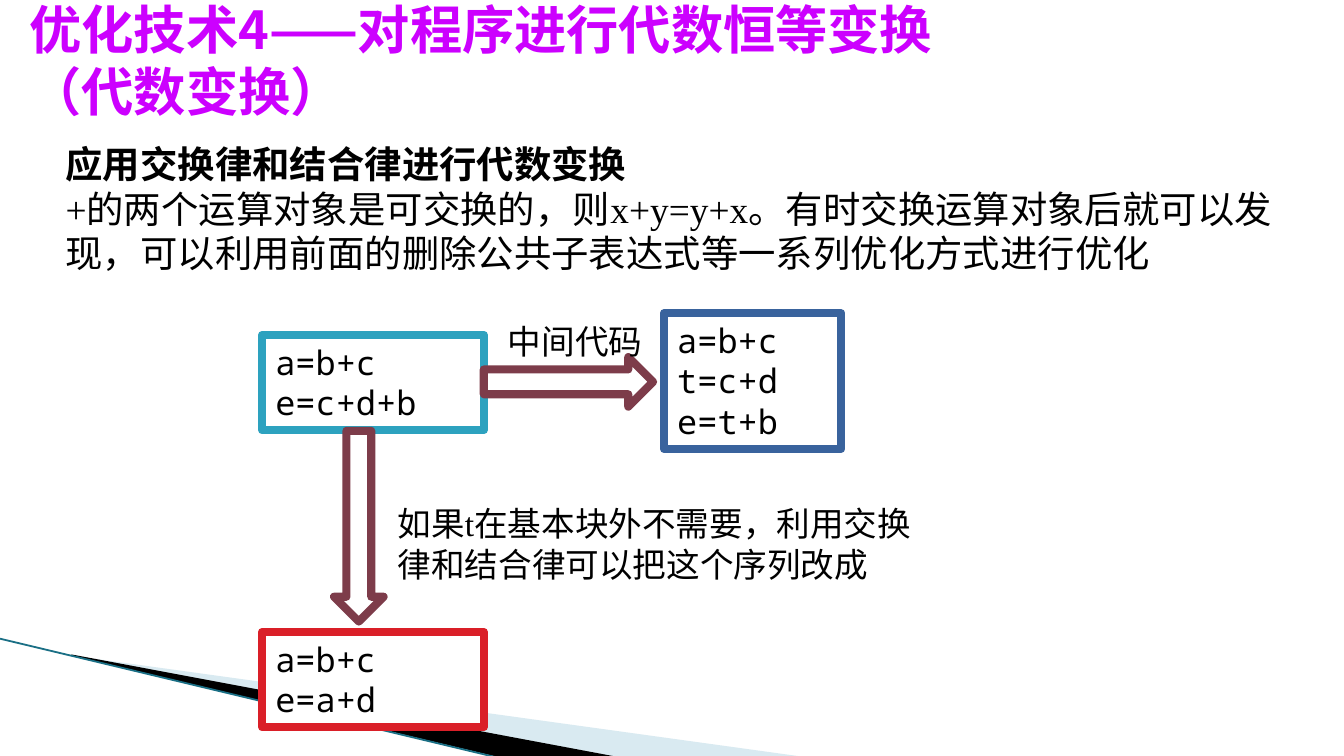
from lxml import etree
from pptx import Presentation
from pptx.dml.color import RGBColor
from pptx.enum.shapes import MSO_CONNECTOR, MSO_SHAPE
from pptx.enum.text import MSO_ANCHOR, MSO_AUTO_SIZE, PP_ALIGN
from pptx.oxml.ns import qn
from pptx.util import Pt

RECTANGLE, RIGHT_ARROW = MSO_SHAPE.RECTANGLE, MSO_SHAPE.RIGHT_ARROW
STRAIGHT = MSO_CONNECTOR.STRAIGHT
TOP, MIDDLE = MSO_ANCHOR.TOP, MSO_ANCHOR.MIDDLE
NO_AUTOFIT = MSO_AUTO_SIZE.NONE
LEFT = PP_ALIGN.LEFT

THEME = {
    "colours": {
        "title": "CC00FF", "text": "000000", "paper": "FFFFFF",
        "source": "2DA2BF", "shared": "39639D", "result": "DA1F28",
        "arrow": "7D3C4A", "pale": "A0CBDC", "edge": "1A6F85",
    },
    "sizes": {"title": 28, "body": 20, "label": 18},
    "fonts": {"title": "Noto Sans CJK SC", "body": "Times New Roman",
              "code": "Noto Sans Mono"},
    "line_spacing": 1.2,
    "outline": 4.33,
}

TITLE = "优化技术4——对程序进行代数恒等变换（代数变换）"
HEADING = "应用交换律和结合律进行代数变换"
EXPLANATION = ("+的两个运算对象是可交换的，则x+y=y+x。有时交换运算对象后就可以发现，"
               "可以利用前面的删除公共子表达式等一系列优化方式进行优化")
CONDITION = "如果t在基本块外不需要，利用交换律和结合律可以把这个序列改成"
ARROW_LABEL = "中间代码"

# Boxes are (left, top, width, height) in points.
TITLE_BOX = (8.64, 4.32, 527, 55.4)
BODY_BOX = (28, 72, 675.4, 80)
CONDITION_BOX = (206, 265.7, 296, 51)
LABEL_BOX = (265, 168.5, 87, 29)
CODE_BLOCKS = [
    ("source", ["a=b+c", "e=c+d+b"], (140.4, 179.5, 118.8, 51)),
    ("shared", ["a=b+c", "t=c+d", "e=t+b"], (355.7, 167.8, 95, 72.7)),
    ("result", ["a=b+c", "e=a+d"], (140.4, 338.6, 118.8, 51)),
]
# Arrows are (box before rotation, rotation in degrees).
ARROWS = [((259.2, 191.3, 90.7, 26.6), 0), ((141.1, 268.6, 102.2, 26.6), 90)]

# Corner swoosh: (colour, opacity in percent, outline points).
SWOOSHES = [
    ("pale", 40, [(39.6, 351.4), (428.4, 405.2), (328.3, 405.2)]),
    ("text", 100, [(38.2, 350.6), (329, 405.2), (267.8, 405.8), (38.9, 351.4)]),
]
SWOOSH_EDGE = (-0.7, 342, 267, 406)


def colour(name):
    return RGBColor.from_string(THEME["colours"][name])


def points(values):
    return [Pt(value) for value in values]


def write(shape, lines, font, size, ink="text", bold_lines=(), anchor=TOP, wrap=True):
    """Fill a shape with one paragraph per line."""
    frame = shape.text_frame
    frame.text = "\n".join(lines)
    frame.word_wrap = wrap
    frame.auto_size = NO_AUTOFIT
    frame.vertical_anchor = anchor
    for index, paragraph in enumerate(frame.paragraphs):
        paragraph.alignment = LEFT
        paragraph.line_spacing = Pt(THEME["sizes"][size] * THEME["line_spacing"])
        paragraph.font.name = THEME["fonts"][font]
        paragraph.font.size = Pt(THEME["sizes"][size])
        paragraph.font.bold = index in bold_lines
        paragraph.font.color.rgb = colour(ink)


def add_panel(slide, kind, box, outline=None):
    shape = slide.shapes.add_shape(kind, *points(box))
    shape.shadow.inherit = False
    shape.fill.solid()
    shape.fill.fore_color.rgb = colour("paper")
    if outline:
        shape.line.color.rgb = colour(outline)
        shape.line.width = Pt(THEME["outline"])
    else:
        shape.line.fill.background()
    return shape


def add_swoosh(slide, name, opacity, corners):
    start, *rest = [tuple(points(corner)) for corner in corners]
    builder = slide.shapes.build_freeform(*start)
    builder.add_line_segments(rest)
    shape = builder.convert_to_shape()
    shape.shadow.inherit = False
    shape.fill.solid()
    shape.fill.fore_color.rgb = colour(name)
    shape.line.fill.background()
    if opacity < 100:
        fill_colour = shape.fill._xPr.find(".//" + qn("a:srgbClr"))
        etree.SubElement(fill_colour, qn("a:alpha"), val=str(opacity * 1000))


def add_swoosh_edge(slide):
    connector = slide.shapes.add_connector(STRAIGHT, *points(SWOOSH_EDGE))
    connector.line.color.rgb = colour("edge")
    connector.line.width = Pt(0.95)
    etree.SubElement(connector._element.spPr, qn("a:effectLst"))


def main():
    presentation = Presentation()
    presentation.slide_width, presentation.slide_height = Pt(720), Pt(405)
    slide = presentation.slides.add_slide(presentation.slide_layouts[5])

    for swoosh in SWOOSHES:
        add_swoosh(slide, *swoosh)
    add_swoosh_edge(slide)

    title = slide.shapes.title
    title.left, title.top, title.width, title.height = points(TITLE_BOX)
    write(title, [TITLE], "title", "title", "title", bold_lines=(0,), anchor=MIDDLE)

    body = slide.shapes.add_textbox(*points(BODY_BOX))
    write(body, [HEADING, EXPLANATION], "body", "body", bold_lines=(0,))

    condition = add_panel(slide, RECTANGLE, CONDITION_BOX)
    write(condition, [CONDITION], "body", "label", anchor=MIDDLE)

    for outline, code, box in CODE_BLOCKS:
        write(add_panel(slide, RECTANGLE, box, outline), code, "code", "label")

    for box, rotation in ARROWS:
        add_panel(slide, RIGHT_ARROW, box, "arrow").rotation = rotation

    label = slide.shapes.add_textbox(*points(LABEL_BOX))
    write(label, [ARROW_LABEL], "code", "label", wrap=False)

    presentation.save("out.pptx")


if __name__ == "__main__":
    main()
